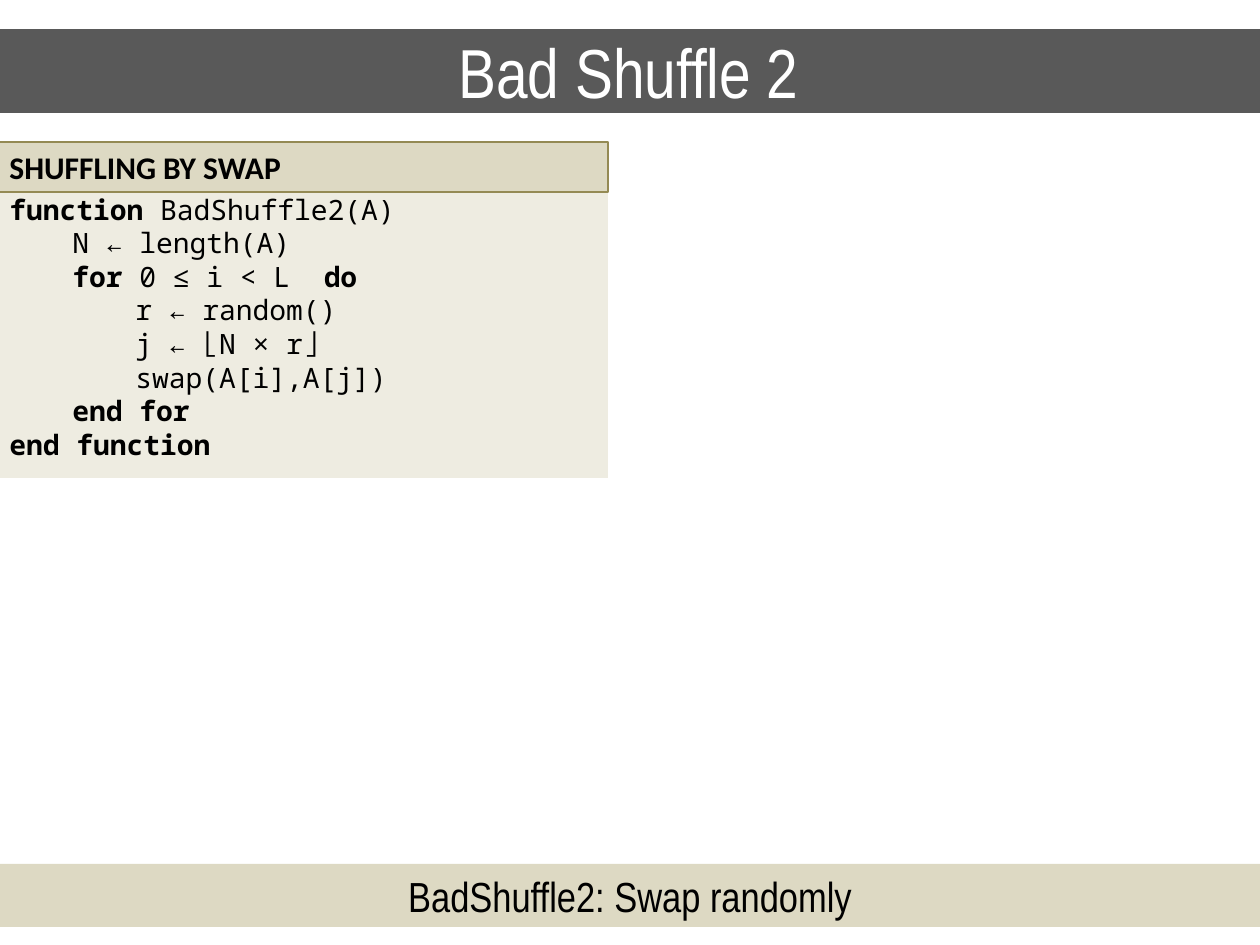
"""Build the Bad Shuffle 2 slide with its pseudocode panel."""
from lxml.etree import SubElement
from pptx import Presentation
from pptx.dml.color import RGBColor
from pptx.enum.shapes import MSO_SHAPE
from pptx.enum.text import MSO_ANCHOR, PP_ALIGN
from pptx.oxml.ns import qn
from pptx.util import Pt

EMU_PER_PX = 914400 / 126
TAB_STEP = 63
HEADER_HEIGHT = 50
CODE_OFFSET = 44

BLACK = RGBColor(0x00, 0x00, 0x00)
WHITE = RGBColor(0xFF, 0xFF, 0xFF)
GRAY = RGBColor(0x59, 0x59, 0x59)
TAN = RGBColor(0xDD, 0xD9, 0xC3)
CREAM = RGBColor(0xEE, 0xEC, 0xE1)
OLIVE = RGBColor(0x94, 0x8A, 0x54)

CODE_LINES = [
    [("function ", True), ("BadShuffle2(A)", False)],
    [("\tN ← length(A)", False)],
    [("\tfor ", True), ("0 ≤ i < L  ", False), ("do", True)],
    [("\t\tr ← random()", False)],
    [("\t\tj ← ⌊N × r⌋", False)],
    [("\t\tswap(A[i],A[j])", False)],
    [("\tend for", True)],
    [("end function", True)],
]


def px(length):
    """Turn pixels into EMU."""
    return round(length * EMU_PER_PX)


def style_font(font, name, size, color, bold=False):
    """Set the face, size, colour and weight of a font."""
    font.name = name
    font.size = Pt(size)
    font.color.rgb = color
    font.bold = bold


def add_panel(slide, box, fill, anchor=MSO_ANCHOR.TOP):
    """Add a plain filled rectangle and return it."""
    shape = slide.shapes.add_shape(MSO_SHAPE.RECTANGLE, *map(px, box))
    shape.shadow.inherit = False
    shape.fill.solid()
    shape.fill.fore_color.rgb = fill
    shape.line.fill.background()
    shape.text_frame.word_wrap = True
    shape.text_frame.vertical_anchor = anchor
    return shape


def add_banner(slide, box, text, fill, color, size, anchor):
    """Add a full-width band with centred text."""
    text_frame = add_panel(slide, box, fill, anchor).text_frame
    text_frame.text = text
    paragraph = text_frame.paragraphs[0]
    paragraph.alignment = PP_ALIGN.CENTER
    style_font(paragraph.runs[0].font, "Arial Narrow", size, color)


def add_tab_stops(paragraph, count):
    """Add evenly spaced left tab stops to a paragraph."""
    tab_list = SubElement(paragraph._p.get_or_add_pPr(), qn("a:tabLst"))
    for level in range(1, count + 1):
        SubElement(tab_list, qn("a:tab"), pos=str(px(level * TAB_STEP)), algn="l")


def add_code_panel(slide, box, heading, lines):
    """Add a headed pseudocode listing inside the box."""
    left, top, width, height = box
    code_box = (left, top + CODE_OFFSET, width, height - CODE_OFFSET)
    text_frame = add_panel(slide, code_box, CREAM).text_frame
    for index, line in enumerate(lines):
        paragraph = text_frame.add_paragraph() if index else text_frame.paragraphs[0]
        paragraph.alignment = PP_ALIGN.LEFT
        add_tab_stops(paragraph, 2)
        for text, bold in line:
            run = paragraph.add_run()
            run.text = text
            style_font(run.font, "Noto Sans Mono", 16, BLACK, bold)

    header = add_panel(slide, (left, top, width, HEADER_HEIGHT), TAN)
    header.line.color.rgb = OLIVE
    header.line.width = Pt(0.75)
    header.text_frame.text = heading
    paragraph = header.text_frame.paragraphs[0]
    paragraph.alignment = PP_ALIGN.LEFT
    style_font(paragraph.runs[0].font, "Calibri", 18, BLACK, True)


def main():
    """Build and save the slide."""
    presentation = Presentation()
    presentation.slide_width = px(1260)
    presentation.slide_height = px(945)
    slide = presentation.slides.add_slide(presentation.slide_layouts[6])
    add_banner(slide, (0, 864, 1260, 63), "BadShuffle2: Swap randomly",
               TAN, BLACK, 24, MSO_ANCHOR.TOP)
    add_code_panel(slide, (-3, 142, 611, 336), "SHUFFLING BY SWAP", CODE_LINES)
    add_banner(slide, (-3, 29, 1263, 84), "Bad Shuffle 2",
               GRAY, WHITE, 39.6, MSO_ANCHOR.MIDDLE)
    presentation.save("out.pptx")


if __name__ == "__main__":
    main()
